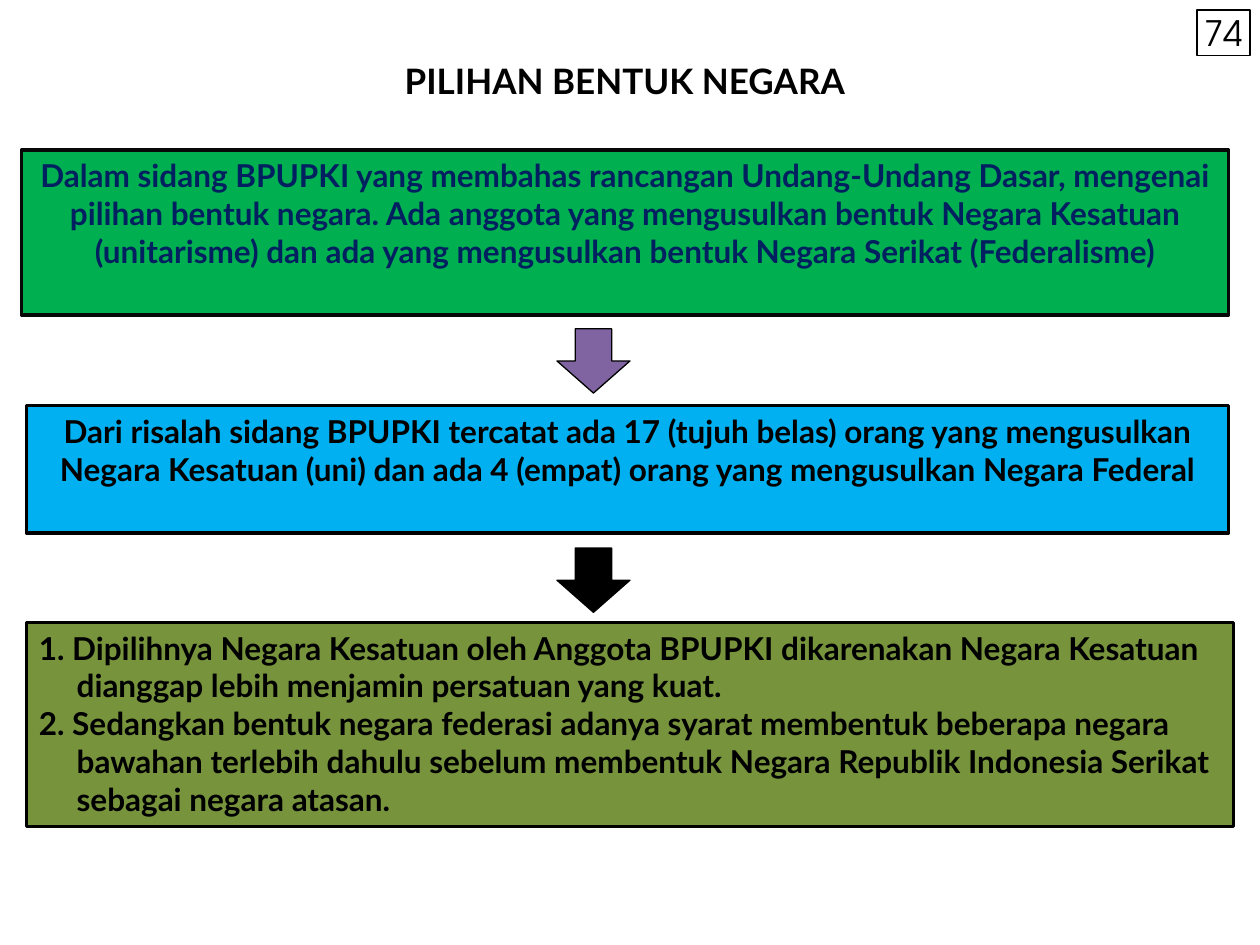
import pptx
import pptx.util
import pptx.dml.color
import pptx.enum.shapes
import pptx.enum.text

Inches, Pt = pptx.util.Inches, pptx.util.Pt
RGBColor = pptx.dml.color.RGBColor
Shape = pptx.enum.shapes.MSO_SHAPE
Align = pptx.enum.text.PP_ALIGN
Anchor = pptx.enum.text.MSO_ANCHOR
Fit = pptx.enum.text.MSO_AUTO_SIZE

BLACK = RGBColor(0x00, 0x00, 0x00)
EDGE = RGBColor(0x08, 0x08, 0x08)
NAVY = RGBColor(0x00, 0x20, 0x60)
GREEN = RGBColor(0x00, 0xB0, 0x50)
BLUE = RGBColor(0x00, 0xB0, 0xF0)
OLIVE = RGBColor(0x77, 0x93, 0x3C)
PURPLE = RGBColor(0x80, 0x64, 0xA2)


def add_shape(kind, left, top, width, height, fill, edge, weight):
    """Add a shape without shadow; a fill of None leaves it clear."""
    shape = slide.shapes.add_shape(
        kind, Inches(left), Inches(top), Inches(width), Inches(height))
    shape.shadow.inherit = False
    if fill is None:
        shape.fill.background()
    else:
        shape.fill.solid()
        shape.fill.fore_color.rgb = fill
    shape.line.color.rgb = edge
    shape.line.width = Pt(weight)
    return shape


def set_text(para, text, size, color, align=Align.CENTER, face="Lato", bold=True):
    para.text = text
    para.alignment = align
    para.font.name = face
    para.font.size = Pt(size)
    para.font.bold = bold
    para.font.color.rgb = color


deck = pptx.Presentation()
deck.slide_width, deck.slide_height = Inches(10), Inches(7.5)
slide = deck.slides.add_slide(deck.slide_layouts[5])

# Title
title = slide.shapes.title
title.left, title.top = Inches(0), Inches(0.42)
title.width, title.height = Inches(9.92), Inches(0.53)
title.text_frame.auto_size = Fit.NONE
title.text_frame.vertical_anchor = Anchor.TOP
set_text(title.text_frame.paragraphs[0], "PILIHAN BENTUK NEGARA", 20, BLACK)

# Page number
page = add_shape(Shape.RECTANGLE, 9.5, 0.08, 0.42, 0.36, None, BLACK, 0.75)
frame = page.text_frame
frame.margin_left = frame.margin_right = frame.margin_top = frame.margin_bottom = 0
frame.vertical_anchor = Anchor.MIDDLE
set_text(frame.paragraphs[0], "74", 20, BLACK, face="TeX Gyre Adventor", bold=False)

# Steps: left, top, width, height, fill, edge, text colour, alignment, texts
steps = [
    (0.17, 1.19, 9.58, 1.31, GREEN, EDGE, NAVY, Align.CENTER, [
        "Dalam sidang BPUPKI yang membahas rancangan Undang-Undang Dasar, "
        "mengenai pilihan bentuk negara. Ada anggota yang mengusulkan bentuk "
        "Negara Kesatuan (unitarisme) dan ada yang mengusulkan bentuk Negara "
        "Serikat (Federalisme)"]),
    (0.21, 3.22, 9.54, 1.01, BLUE, BLACK, BLACK, Align.CENTER, [
        "Dari risalah sidang BPUPKI tercatat ada 17 (tujuh belas) orang yang "
        "mengusulkan Negara Kesatuan (uni) dan ada 4 (empat) orang yang "
        "mengusulkan Negara Federal"]),
    (0.21, 4.94, 9.58, 1.62, OLIVE, BLACK, BLACK, Align.LEFT, [
        "1. Dipilihnya Negara Kesatuan oleh Anggota BPUPKI dikarenakan Negara "
        "Kesatuan dianggap lebih menjamin persatuan yang kuat.",
        "2. Sedangkan bentuk negara federasi adanya syarat membentuk beberapa "
        "negara bawahan terlebih dahulu sebelum membentuk Negara Republik "
        "Indonesia Serikat sebagai negara atasan."]),
]
for left, top, width, height, fill, edge, color, align, texts in steps:
    box = add_shape(Shape.RECTANGLE, left, top, width, height, fill, edge, 2)
    frame = box.text_frame
    frame.word_wrap = True
    frame.vertical_anchor = Anchor.TOP
    for i, text in enumerate(texts):
        para = frame.add_paragraph() if i else frame.paragraphs[0]
        set_text(para, text, 18, color, align)
        if align == Align.LEFT:
            props = para._p.get_or_add_pPr()
            props.set("marL", str(Inches(0.3)))
            props.set("indent", str(-Inches(0.3)))

# Arrows between the steps
for top, fill in [(2.61, PURPLE), (4.35, BLACK)]:
    add_shape(Shape.DOWN_ARROW, 4.42, top, 0.58, 0.51, fill, BLACK, 0.75)

deck.save("out.pptx")
